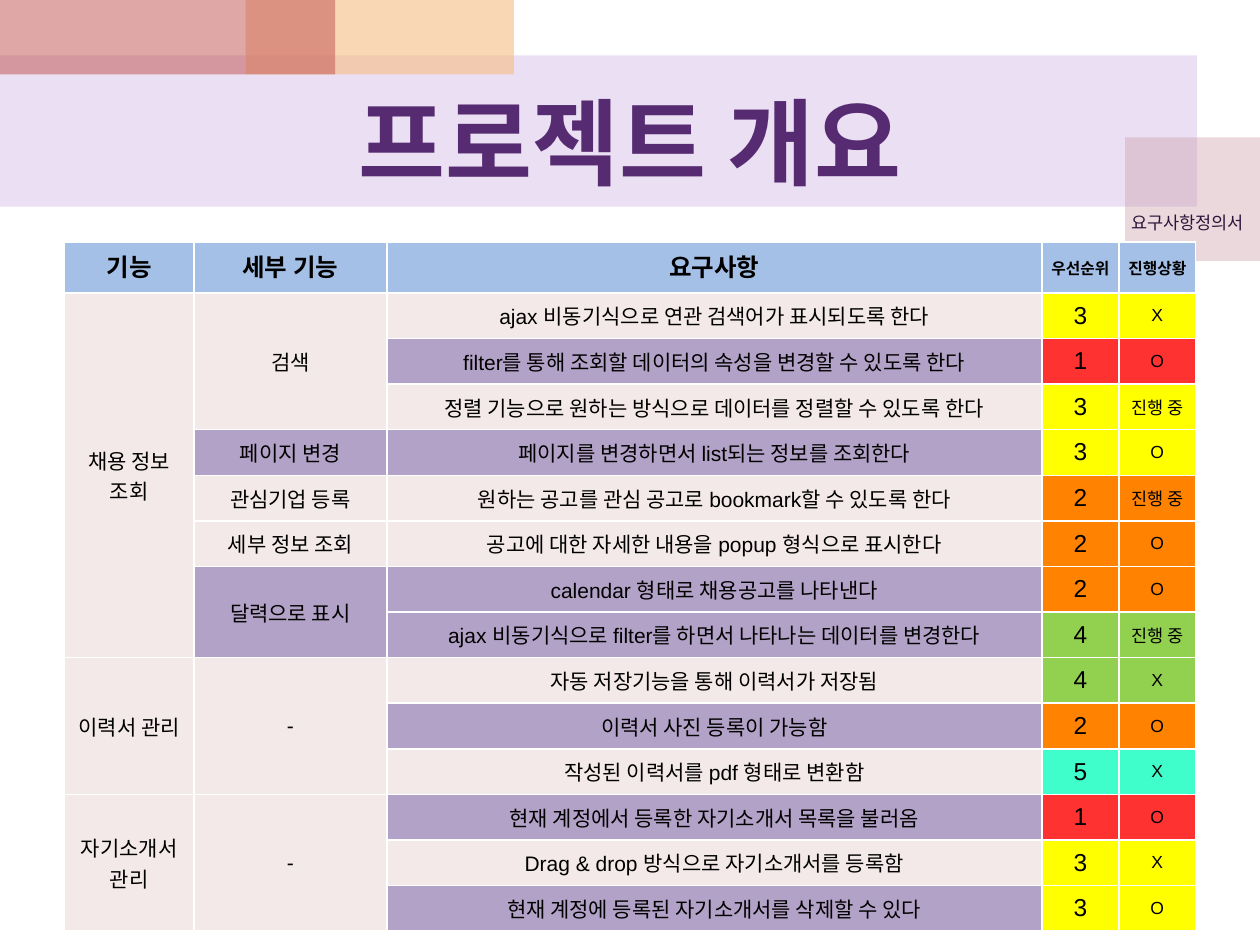
from lxml.etree import SubElement
from pptx import Presentation
from pptx.dml.color import RGBColor
from pptx.enum.shapes import MSO_SHAPE
from pptx.enum.text import MSO_ANCHOR, MSO_AUTO_SIZE, PP_ALIGN
from pptx.oxml.ns import qn
from pptx.util import Inches, Pt

BLACK = RGBColor(0x00, 0x00, 0x00)
WHITE = RGBColor(0xFF, 0xFF, 0xFF)
PURPLE = RGBColor(0x56, 0x2B, 0x71)
DARK_PURPLE = RGBColor(0x2B, 0x16, 0x39)
BAND = RGBColor(0xBF, 0x98, 0xD8)
ROSE = RGBColor(0xCC, 0x9E, 0xAC)
PEACH = RGBColor(0xF5, 0xBC, 0x83)
BRICK = RGBColor(0xC0, 0x50, 0x4D)
HEADER_BLUE = RGBColor(0xA5, 0xC0, 0xE6)
BLUSH = RGBColor(0xF4, 0xE9, 0xE9)
LILAC = RGBColor(0xB3, 0xA2, 0xC7)
PRIORITY_COLORS = {
    "1": RGBColor(0xFF, 0x32, 0x32),
    "2": RGBColor(0xFF, 0x82, 0x00),
    "3": RGBColor(0xFF, 0xFF, 0x00),
    "4": RGBColor(0x92, 0xD0, 0x50),
    "5": RGBColor(0x40, 0xFE, 0xCC),
}
KOREAN_FONT = "Noto Sans CJK KR"
GRID_COLUMNS, GRID_ROWS = 100, 75

HEADINGS = ["기능", "세부 기능", "요구사항", "우선순위", "진행상황"]
COLUMN_SPANS = [10.3, 15.3, 52, 6.1, 6.1]
REQUIREMENTS = [
    ("채용 정보 조회", "검색", "ajax 비동기식으로 연관 검색어가 표시되도록 한다", "3", "X", BLUSH),
    (None, None, "filter를 통해 조회할 데이터의 속성을 변경할 수 있도록 한다", "1", "O", LILAC),
    (None, None, "정렬 기능으로 원하는 방식으로 데이터를 정렬할 수 있도록 한다", "3", "진행 중", BLUSH),
    (None, "페이지 변경", "페이지를 변경하면서 list되는 정보를 조회한다", "3", "O", LILAC),
    (None, "관심기업 등록", "원하는 공고를 관심 공고로 bookmark할 수 있도록 한다", "2", "진행 중", BLUSH),
    (None, "세부 정보 조회", "공고에 대한 자세한 내용을 popup 형식으로 표시한다", "2", "O", BLUSH),
    (None, "달력으로 표시", "calendar 형태로 채용공고를 나타낸다", "2", "O", LILAC),
    (None, None, "ajax 비동기식으로 filter를 하면서 나타나는 데이터를 변경한다", "4", "진행 중", LILAC),
    ("이력서 관리", "-", "자동 저장기능을 통해 이력서가 저장됨", "4", "X", BLUSH),
    (None, None, "이력서 사진 등록이 가능함", "2", "O", LILAC),
    (None, None, "작성된 이력서를 pdf 형태로 변환함", "5", "X", BLUSH),
    ("자기소개서 관리", "-", "현재 계정에서 등록한 자기소개서 목록을 불러옴", "1", "O", LILAC),
    (None, None, "Drag & drop 방식으로 자기소개서를 등록함", "3", "X", BLUSH),
    (None, None, "현재 계정에 등록된 자기소개서를 삭제할 수 있다", "3", "O", LILAC),
]


def write(frame, text, size=12, font="Arial", color=BLACK, bold=False, align=PP_ALIGN.CENTER):
    paragraph = frame.paragraphs[0]
    paragraph.alignment = align
    run = paragraph.add_run()
    run.text = text
    run.font.size = Pt(size)
    run.font.name = font
    run.font.bold = bold
    run.font.color.rgb = color
    SubElement(run.font._element, qn("a:ea"), typeface=KOREAN_FONT)


class Deck:
    def __init__(self):
        self.presentation = Presentation()
        self.presentation.slide_width = Inches(10)
        self.presentation.slide_height = Inches(7.5)
        self.slide = self.presentation.slides.add_slide(self.presentation.slide_layouts[5])

    def across(self, columns):
        return round(self.presentation.slide_width * columns / GRID_COLUMNS)

    def down(self, rows):
        return round(self.presentation.slide_height * rows / GRID_ROWS)

    def area(self, left, top, width, height):
        return self.across(left), self.down(top), self.across(width), self.down(height)

    def block(self, place, color, opacity):
        shape = self.slide.shapes.add_shape(MSO_SHAPE.RECTANGLE, *self.area(*place))
        shape.shadow.inherit = False
        shape.line.fill.background()
        shape.fill.solid()
        shape.fill.fore_color.rgb = color
        tint = shape.element.spPr.find(qn("a:solidFill")).find(qn("a:srgbClr"))
        SubElement(tint, qn("a:alpha"), val=str(opacity * 1000))

    def title(self, text, place):
        heading = self.slide.shapes.title
        heading.left, heading.top, heading.width, heading.height = self.area(*place)
        heading.text_frame.vertical_anchor = MSO_ANCHOR.MIDDLE
        write(heading.text_frame, text, size=54, font=KOREAN_FONT, color=PURPLE, bold=True)
        heading.element.getparent().append(heading.element)

    def label(self, text, place):
        frame = self.slide.shapes.add_textbox(*self.area(*place)).text_frame
        frame.word_wrap = False
        frame.auto_size = MSO_AUTO_SIZE.SHAPE_TO_FIT_TEXT
        write(frame, text, size=10, font="Calibri", color=DARK_PURPLE, align=PP_ALIGN.LEFT)

    def cell(self, cell, text, fill, inset=0.05, anchor=MSO_ANCHOR.MIDDLE, **style):
        cell.margin_left = cell.margin_right = Inches(inset)
        cell.margin_top = cell.margin_bottom = Inches(inset)
        cell.vertical_anchor = anchor
        properties = cell._tc.get_or_add_tcPr()
        for side in ("lnL", "lnR", "lnT", "lnB"):
            border = SubElement(properties, qn(f"a:{side}"), w=str(Pt(1)))
            stroke = SubElement(border, qn("a:solidFill"))
            SubElement(stroke, qn("a:srgbClr"), val=str(WHITE))
        cell.fill.solid()
        cell.fill.fore_color.rgb = fill
        if text:
            write(cell.text_frame, text, **style)

    def merge_groups(self, table, column):
        starts = [i for i, entry in enumerate(REQUIREMENTS, 1) if entry[column]]
        for start, following in zip(starts, starts[1:] + [len(REQUIREMENTS) + 1]):
            if following - start > 1:
                table.cell(start, column).merge(table.cell(following - 1, column))

    def requirements(self, left, top, header_height, row_height):
        count = len(REQUIREMENTS)
        place = (left, top, sum(COLUMN_SPANS), header_height + count * row_height)
        table = self.slide.shapes.add_table(count + 1, len(HEADINGS), *self.area(*place)).table
        table.first_row = table.horz_banding = False
        for column, span in zip(table.columns, COLUMN_SPANS):
            column.width = self.across(span)
        for index, row in enumerate(table.rows):
            row.height = self.down(row_height if index else header_height)
        for column, heading in enumerate(HEADINGS):
            narrow = column > 2
            self.cell(table.cell(0, column), heading, HEADER_BLUE, bold=True,
                      size=9 if narrow else 14,
                      anchor=MSO_ANCHOR.MIDDLE if narrow else MSO_ANCHOR.TOP)
        for row, (feature, detail, need, priority, status, shade) in enumerate(REQUIREMENTS, 1):
            urgency = PRIORITY_COLORS[priority]
            detail_shade = BLUSH if detail == "-" else shade
            self.cell(table.cell(row, 0), feature, BLUSH)
            self.cell(table.cell(row, 1), detail, detail_shade)
            self.cell(table.cell(row, 2), need, shade)
            self.cell(table.cell(row, 3), priority, urgency, size=14)
            self.cell(table.cell(row, 4), status, urgency, size=10, inset=0.07)
        for column in (0, 1):
            self.merge_groups(table, column)


def main():
    deck = Deck()
    deck.block((0, 4.4, 95, 12), BAND, 30)
    deck.block((89.3, 10.9, 10.7, 9.8), ROSE, 40)
    deck.block((19.5, 0, 21.3, 5.9), PEACH, 60)
    deck.block((0, 0, 26.6, 5.9), BRICK, 50)
    deck.requirements(left=5.1, top=19.2, header_height=4.05, row_height=3.62)
    deck.title("프로젝트 개요", (5, 5.9, 90, 10.5))
    deck.label("요구사항정의서", (88.8, 16.3, 11.8, 2.7))
    deck.presentation.save("out.pptx")


if __name__ == "__main__":
    main()
